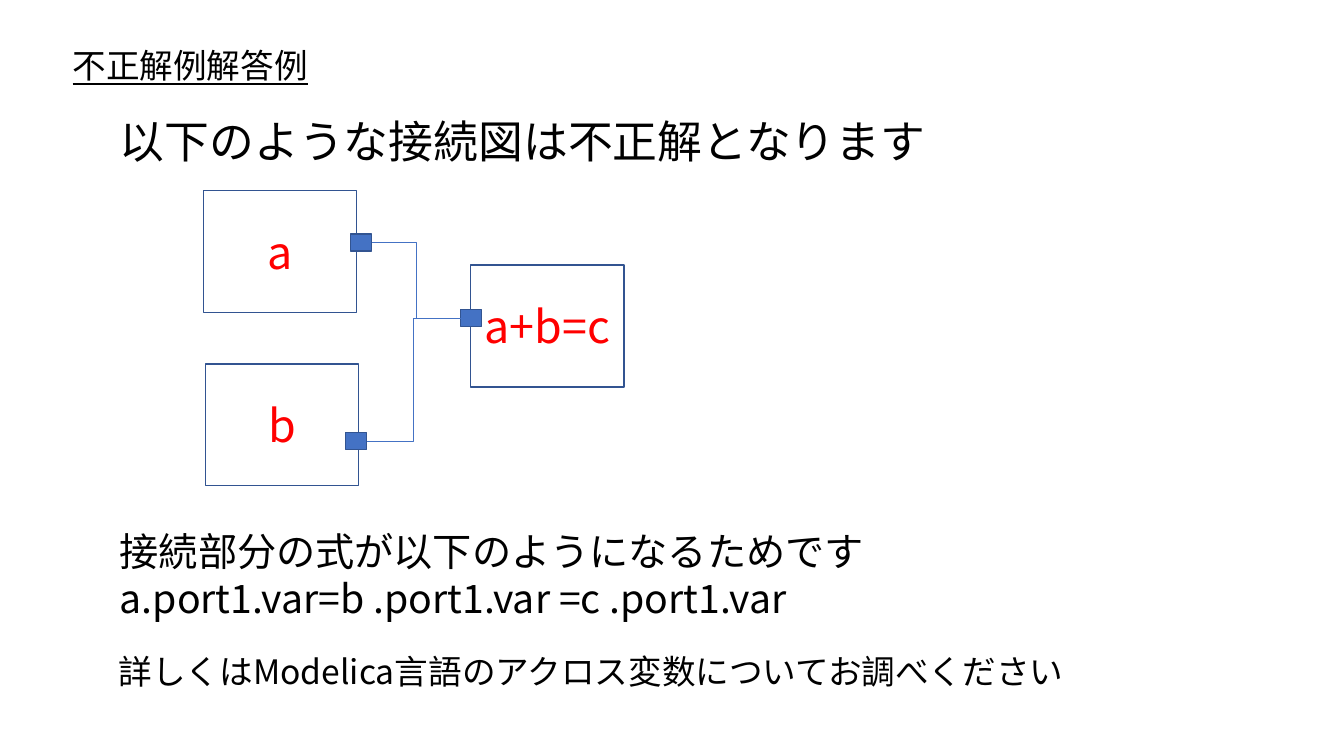
from lxml import etree
from pptx import Presentation, util as u
from pptx.dml.color import RGBColor
from pptx.enum import shapes, text
from pptx.oxml import ns

BLACK = RGBColor(0x00, 0x00, 0x00)
RED = RGBColor(0xFF, 0x00, 0x00)
BLUE = RGBColor(0x44, 0x72, 0xC4)
DARK_BLUE = RGBColor(0x32, 0x54, 0x91)

FONT = "Noto Sans CJK JP"
COLUMNS, ROWS = 40, 30
BLOCK_SIZE = (4.56, 4.84)
PORT_SIZE = (0.62, 0.68)
LEFT_SITE, RIGHT_SITE = 1, 3


def write(frame, content, size=24, color=BLACK, underline=None,
          align=text.PP_ALIGN.LEFT, anchor=text.MSO_ANCHOR.TOP,
          fit=text.MSO_AUTO_SIZE.NONE):
    """Fill a text frame, one paragraph for each line of content."""
    frame.text = content
    frame.word_wrap = True
    frame.auto_size = fit
    frame.vertical_anchor = anchor
    for paragraph in frame.paragraphs:
        paragraph.alignment = align
        for run in paragraph.runs:
            run.font.size = u.Pt(size)
            run.font.color.rgb = color
            run.font.underline = underline
            run.font.name = FONT
            east_asian = etree.SubElement(run._r.get_or_add_rPr(), ns.qn("a:ea"))
            east_asian.set("typeface", FONT)


class DiagramSlide:
    """Places elements on a grid of COLUMNS by ROWS over the slide."""

    def __init__(self, deck):
        self.column = deck.slide_width / COLUMNS
        self.row = deck.slide_height / ROWS
        self.slide = deck.slides.add_slide(deck.slide_layouts[5])
        self.diagram = self.slide.shapes.add_group_shape().shapes

    def area(self, left, top, width, height):
        return (round(left * self.column), round(top * self.row),
                round(width * self.column), round(height * self.row))

    def title(self, content, *place):
        heading = self.slide.shapes.title
        heading.left, heading.top, heading.width, heading.height = self.area(*place)
        write(heading.text_frame, content, underline=True)

    def note(self, content, *place, size):
        box = self.slide.shapes.add_textbox(*self.area(*place))
        write(box.text_frame, content, size=size,
              fit=text.MSO_AUTO_SIZE.SHAPE_TO_FIT_TEXT)

    def rectangle(self, position, size):
        outline = self.diagram.add_shape(
            shapes.MSO_SHAPE.RECTANGLE, *self.area(*position, *size))
        outline.shadow.inherit = False
        outline.line.color.rgb = DARK_BLUE
        outline.line.width = u.Pt(1)
        return outline

    def block(self, label, *position):
        block = self.rectangle(position, BLOCK_SIZE)
        block.fill.background()
        write(block.text_frame, label, size=32, color=RED,
              align=text.PP_ALIGN.CENTER, anchor=text.MSO_ANCHOR.MIDDLE)

    def port(self, *position):
        port = self.rectangle(position, PORT_SIZE)
        port.fill.solid()
        port.fill.fore_color.rgb = BLUE
        return port

    def wire(self, source, target):
        """Join the right side of source to the left side of target."""
        wire = self.diagram.add_connector(
            shapes.MSO_CONNECTOR.ELBOW,
            source.left + source.width, source.top + source.height // 2,
            target.left, target.top + target.height // 2)
        wire.begin_connect(source, RIGHT_SITE)
        wire.end_connect(target, LEFT_SITE)
        wire.line.color.rgb = BLUE
        wire.line.width = u.Pt(0.5)
        etree.SubElement(wire._element.spPr, ns.qn("a:effectLst"))


def main():
    deck = Presentation()
    deck.slide_width, deck.slide_height = u.Inches(13.33), u.Inches(7.5)
    page = DiagramSlide(deck)

    page.title("不正解例解答例", 1.86, 1.6, 7.68, 2)
    page.note("以下のような接続図は不正解となります", 3.27, 4.32, 24.84, 2.56, size=32)

    page.block("a+b=c", 14.01, 10.52)
    page.block("a", 6.06, 7.56)
    page.block("b", 6.12, 14.44)
    sum_port = page.port(13.71, 12.28)
    for input_position in ((10.44, 9.28), (10.29, 17.16)):
        page.wire(page.port(*input_position), sum_port)

    page.note("接続部分の式が以下のようになるためです\n"
              "a.port1.var=b .port1.var =c .port1.var",
              3.27, 20.72, 29.22, 4.16, size=28)
    page.note("詳しくはModelica言語のアクロス変数についてお調べください",
              3.24, 25.64, 29.1, 2, size=24)
    deck.save("out.pptx")


if __name__ == "__main__":
    main()
